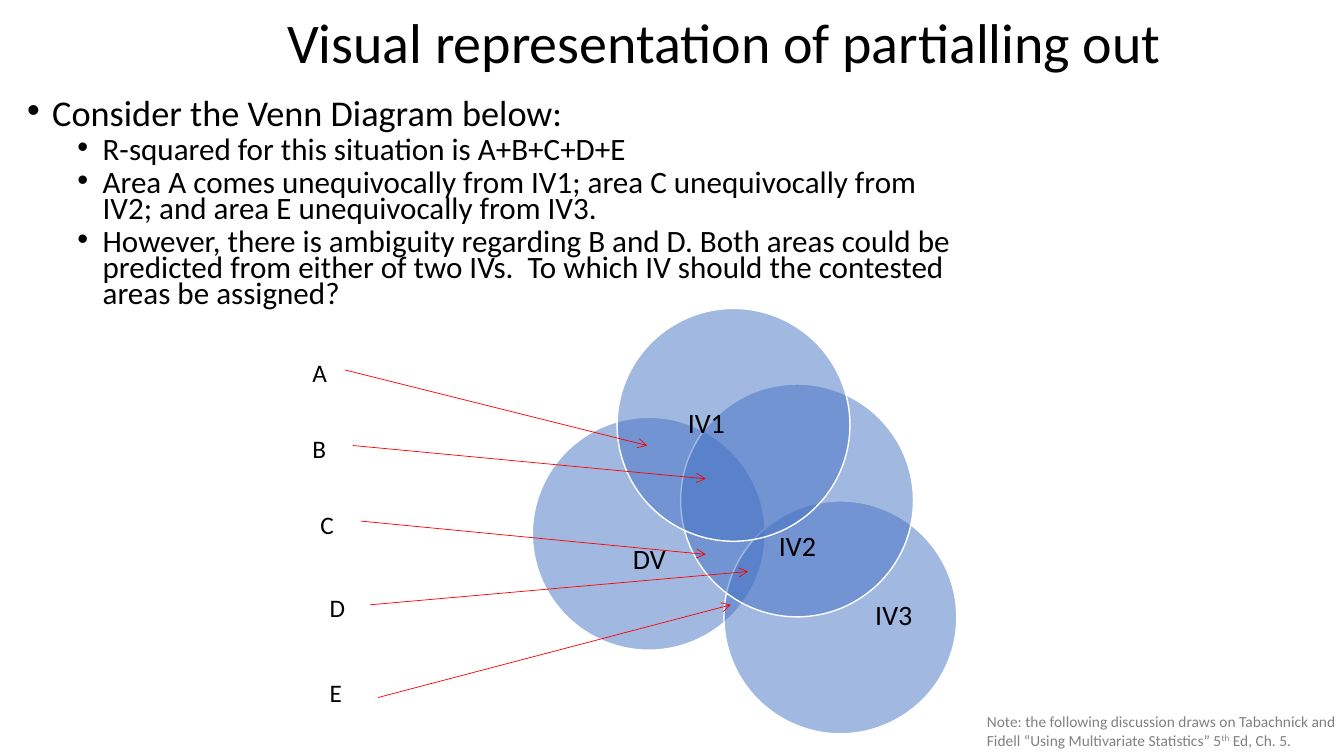
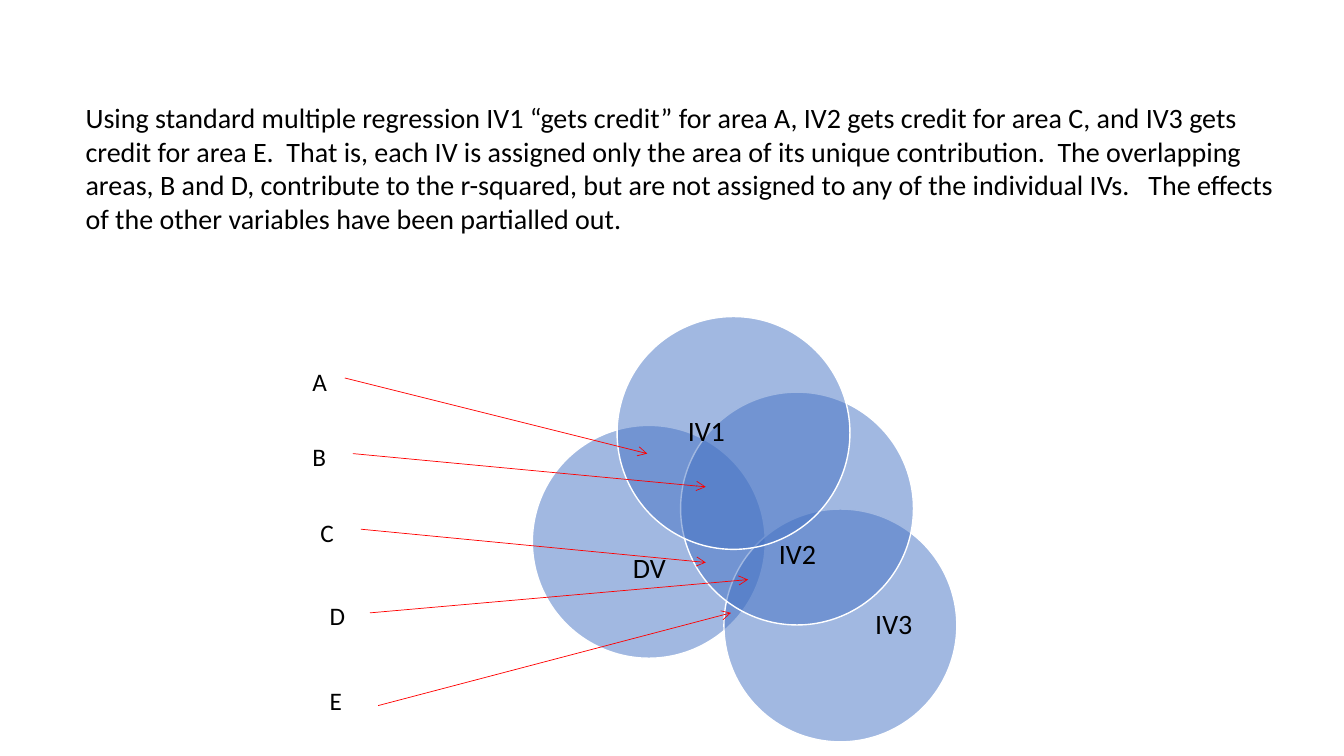
from lxml import etree
from pptx import Presentation
from pptx import util as u
from pptx.dml.color import RGBColor
from pptx.enum import shapes, text
from pptx.oxml.ns import qn

# Shared style
FONT = "Calibri"
COLORS = {"ink": "000000", "note": "808080", "circle": "4472C4",
          "outline": "FFFFFF", "arrow": "FF0000"}
ALIGN = text.PP_ALIGN
MIDDLE = text.MSO_ANCHOR.MIDDLE

# Content
TITLE = "Visual representation of partialling out"
LEAD = "Consider the Venn Diagram below:"
POINTS = [
    "R-squared for this situation is A+B+C+D+E",
    "Area A comes unequivocally from IV1; area C unequivocally from IV2; "
    "and area E unequivocally from IV3.",
    "However, there is ambiguity regarding B and D. Both areas could be predicted "
    "from either of two IVs.  To which IV should the contested areas be assigned?",
]
NOTE = [("Note: the following discussion draws on Tabachnick and Fidell "
         "“Using Multivariate Statistics” 5", 0), ("th", 30), (" Ed, Ch. 5.", 0)]
EXPLANATION = (
    "Using standard multiple regression IV1 “gets credit” for area A, IV2 gets credit "
    "for area C, and IV3 gets credit for area E.  That is, each IV is assigned only the "
    "area of its unique contribution.  The overlapping areas, B and D, contribute to the "
    "r-squared, but are not assigned to any of the individual IVs.   The effects of the "
    "other variables have been partialled out.")

# Diagram: circle corner, label box, label alignment
DIAMETER = 2.31
CIRCLES = [
    ("DV", (5.28, 4.14), (5.55, 5.2, 1.78, 0.73), ALIGN.CENTER),
    ("IV3", (7.18, 4.97), (8.42, 5.23, 0.89, 1.78), ALIGN.CENTER),
    ("IV2", (6.75, 3.81), (7.02, 5.07, 1.78, 0.73), ALIGN.CENTER),
    ("IV1", (6.12, 3.06), (6.3, 3.32, 0.89, 1.78), ALIGN.RIGHT),
]
# Area name, label corner, arrow start, arrow end
AREAS = [
    ("A", (3, 3.5), (3.42, 3.67), (6.42, 4.42)),
    ("B", (3, 4.25), (3.5, 4.42), (7, 4.75)),
    ("C", (3.08, 5), (3.58, 5.17), (7, 5.5)),
    ("D", (3.17, 5.83), (3.67, 6), (7.42, 5.67)),
    ("E", (3.17, 6.67), (3.75, 6.92), (7.25, 6)),
]


def inches(*values):
    return [u.Inches(value) for value in values]


def color(name):
    return RGBColor.from_string(COLORS[name])


def add_bullet(para, indent):
    props = para._p.get_or_add_pPr()
    props.set("marL", str(u.Inches(indent)))
    props.set("indent", str(u.Inches(-0.25)))
    etree.SubElement(props, qn("a:buFont"), typeface="Arial")
    etree.SubElement(props, qn("a:buChar"), char="•")


def write(para, content, *, size, ink="ink", align=ALIGN.LEFT,
          line=None, before=None, bullet=None):
    """Fill a paragraph with a string or with (text, baseline percent) pairs."""
    para.alignment = align
    if line:
        para.line_spacing = line
    if before:
        para.space_before = u.Pt(before)
    if bullet:
        add_bullet(para, bullet)
    for words, baseline in [(content, 0)] if isinstance(content, str) else content:
        span = para.add_run()
        span.text = words
        span.font.name, span.font.size = FONT, u.Pt(size)
        span.font.color.rgb = color(ink)
        if baseline:
            span._r.get_or_add_rPr().set("baseline", str(baseline * 1000))


def add_frame(page, place, anchor=text.MSO_ANCHOR.TOP, inset=True):
    frame = page.shapes.add_textbox(*inches(*place)).text_frame
    frame.word_wrap = True
    frame.vertical_anchor = anchor
    if not inset:
        frame.margin_left = frame.margin_right = 0
        frame.margin_top = frame.margin_bottom = 0
    return frame


def add_circle(page, left, top):
    circle = page.shapes.add_shape(shapes.MSO_SHAPE.OVAL,
                                   *inches(left, top, DIAMETER, DIAMETER))
    circle.shadow.inherit = False
    circle.fill.solid()
    circle.fill.fore_color.rgb = color("circle")
    tint = circle._element.spPr.find(qn("a:solidFill"))[0]
    etree.SubElement(tint, qn("a:alpha"), val="50000")
    circle.line.color.rgb = color("outline")
    circle.line.width = u.Pt(1)


def add_arrow(page, start, end):
    arrow = page.shapes.add_connector(shapes.MSO_CONNECTOR.STRAIGHT,
                                      *inches(*start, *end))
    arrow.line.color.rgb = color("arrow")
    arrow.line.width = u.Pt(0.5)
    etree.SubElement(arrow.line._get_or_add_ln(), qn("a:tailEnd"), type="arrow")
    etree.SubElement(arrow._element.spPr, qn("a:effectLst"))


def add_venn(page, drop=0):
    """Draw the whole diagram, moved down by drop inches."""
    for name, (left, top), (x, y, width, height), align in CIRCLES:
        add_circle(page, left, top + drop)
        label = add_frame(page, (x, y + drop, width, height), MIDDLE, inset=False)
        write(label.paragraphs[0], name, size=20, align=align, line=0.9)
    for name, (left, top), _, _ in AREAS:
        label = add_frame(page, (left, top + drop, 0.33, 0.42))
        write(label.paragraphs[0], name, size=18)
    for _, _, (x1, y1), (x2, y2) in AREAS:
        add_arrow(page, (x1, y1 + drop), (x2, y2 + drop))


def build_question(page):
    title = add_frame(page, (2.75, 0.02, 9.75, 0.87), MIDDLE)
    write(title.paragraphs[0], TITLE, size=40, line=0.9)
    body = add_frame(page, (0.17, 0.96, 9.5, 2.25))
    write(body.paragraphs[0], LEAD, size=25.9, line=0.7, before=10, bullet=0.25)
    for point in POINTS:
        write(body.add_paragraph(), point, size=22.2, line=0.7, before=5, bullet=0.75)
    add_venn(page)
    note = add_frame(page, (9.69, 7.02, 3.67, 0.47))
    write(note.paragraphs[0], NOTE, size=11, ink="note")


def build_answer(page):
    answer = add_frame(page, (0.75, 0.95, 12.25, 1.45))
    write(answer.paragraphs[0], EXPLANATION, size=20)
    add_venn(page, drop=0.08)


def main():
    deck = Presentation()
    deck.slide_width, deck.slide_height = inches(13.33, 7.5)
    for build in (build_question, build_answer):
        build(deck.slides.add_slide(deck.slide_layouts[6]))
    deck.save("out.pptx")


if __name__ == "__main__":
    main()
